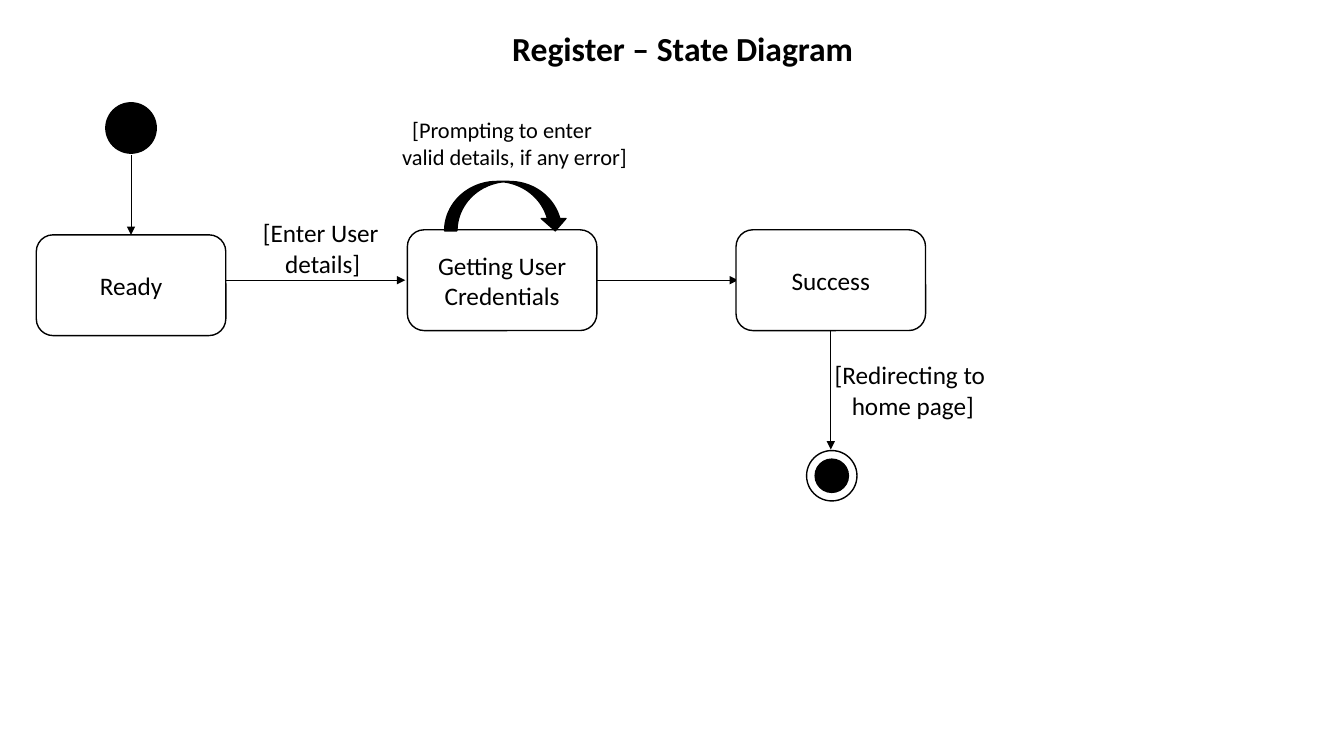
from dataclasses import dataclass

from lxml import etree
from pptx import Presentation
from pptx.dml.color import RGBColor
from pptx.enum.shapes import MSO_CONNECTOR, MSO_SHAPE
from pptx.enum.text import MSO_ANCHOR, MSO_AUTO_SIZE, PP_ALIGN
from pptx.oxml.ns import qn
from pptx.util import Inches, Pt

ROUND = MSO_SHAPE.ROUNDED_RECTANGLE
NODE = MSO_SHAPE.FLOWCHART_CONNECTOR
LOOP = MSO_SHAPE.CURVED_DOWN_ARROW
LINE = MSO_CONNECTOR.STRAIGHT
LEFT, CENTER = PP_ALIGN.LEFT, PP_ALIGN.CENTER
TOP, MIDDLE = MSO_ANCHOR.TOP, MSO_ANCHOR.MIDDLE
FIXED = MSO_AUTO_SIZE.NONE


@dataclass(frozen=True)
class Theme:
    ink: RGBColor = RGBColor(0, 0, 0)
    paper: RGBColor = RGBColor(255, 255, 255)
    font: str = "Calibri"
    title: int = 24
    body: int = 18
    note: int = 16
    edge: float = 1
    wire: float = 0.5


THEME = Theme()
STATE_W, STATE_H = 1.88, 1


def write(frame, text, size, align=LEFT, anchor=TOP, bold=False):
    frame.text = text
    frame.word_wrap = True
    frame.auto_size = FIXED
    frame.vertical_anchor = anchor
    for para in frame.paragraphs:
        para.alignment = align
        for run in para.runs:
            font = run.font
            font.name, font.size, font.bold = THEME.font, Pt(size), bold
            font.color.rgb = THEME.ink


def add_form(slide, kind, box, fill):
    form = slide.shapes.add_shape(kind, *map(Inches, box))
    form.shadow.inherit = False
    form.fill.solid()
    form.fill.fore_color.rgb = fill
    form.line.color.rgb = THEME.ink
    form.line.width = Pt(THEME.edge)
    return form


def add_state(slide, left, top, text):
    form = add_form(slide, ROUND, (left, top, STATE_W, STATE_H), THEME.paper)
    write(form.text_frame, text, THEME.body, CENTER, MIDDLE)


def add_arrow(slide, x1, y1, x2, y2):
    arrow = slide.shapes.add_connector(LINE, *map(Inches, (x1, y1, x2, y2)))
    arrow.line.color.rgb = THEME.ink
    arrow.line.width = Pt(THEME.wire)
    etree.SubElement(arrow.line._get_or_add_ln(), qn("a:tailEnd"), type="triangle")
    etree.SubElement(arrow._element.spPr, qn("a:effectLst"))


def add_label(slide, box, text, size, indents):
    frame = slide.shapes.add_textbox(*map(Inches, box)).text_frame
    write(frame, text, size)
    for para, indent in zip(frame.paragraphs, indents):
        para._p.get_or_add_pPr().set("marL", str(Inches(indent)))


def add_title(slide, box):
    title = slide.shapes.title
    title.left, title.top, title.width, title.height = map(Inches, box)
    write(title.text_frame, "Register – State Diagram", THEME.title, bold=True)


def add_start(slide, box):
    left, top, width, height = box
    mid = left + width / 2
    add_form(slide, NODE, (mid - 0.25, top, 0.5, 0.5), THEME.ink)
    add_arrow(slide, mid, top + 0.52, mid, top + height)


def add_flow(slide, box):
    left, top, width, height = box
    mid = top + STATE_H / 2
    user = left + 3.68
    done = left + width - STATE_W
    add_arrow(slide, left + STATE_W, mid, user - 0.02, mid)
    add_arrow(slide, user + STATE_W, mid, done + 0.02, mid)
    add_state(slide, left, top + height - STATE_H, "Ready")
    add_state(slide, user, top, "Getting User\nCredentials")
    add_state(slide, done, top, "Success")
    add_label(slide, (left + 2.15, top - 0.17, 1.6, 0.71),
              "[Enter User\ndetails]", THEME.body, (0, 0.22))
    add_form(slide, LOOP, (user + 0.37, top - 0.48, 1.22, 0.49), THEME.ink)
    add_label(slide, (user - 0.4, top - 1.18, 2.77, 0.64),
              "[Prompting to enter\nvalid details, if any error]",
              THEME.note, (0.35, 0.25))


def add_finish(slide, box):
    left, top, width, height = box
    mid, low = left + 0.25, top + height - 0.25
    add_arrow(slide, mid - 0.01, top, mid - 0.01, low - 0.26)
    for size, fill in ((0.5, THEME.paper), (0.33, THEME.ink)):
        spot = (mid - size / 2, low - size / 2, size, size)
        add_form(slide, NODE, spot, fill)
    add_label(slide, (left + 0.18, top + 0.24, width - 0.18, 0.71),
              "[Redirecting to\nhome page]", THEME.body, (0, 0.17))


def main():
    deck = Presentation()
    deck.slide_width, deck.slide_height = Inches(13.33), Inches(7.5)
    slide = deck.slides.add_slide(deck.slide_layouts[5])
    add_title(slide, (4.98, 0.23, 3.86, 0.5))
    add_start(slide, (0.36, 1.02, STATE_W, 1.31))
    add_flow(slide, (0.36, 2.28, 8.82, 1.05))
    add_finish(slide, (8, 3.28, 2.64, 1.69))
    deck.save("out.pptx")


if __name__ == "__main__":
    main()
